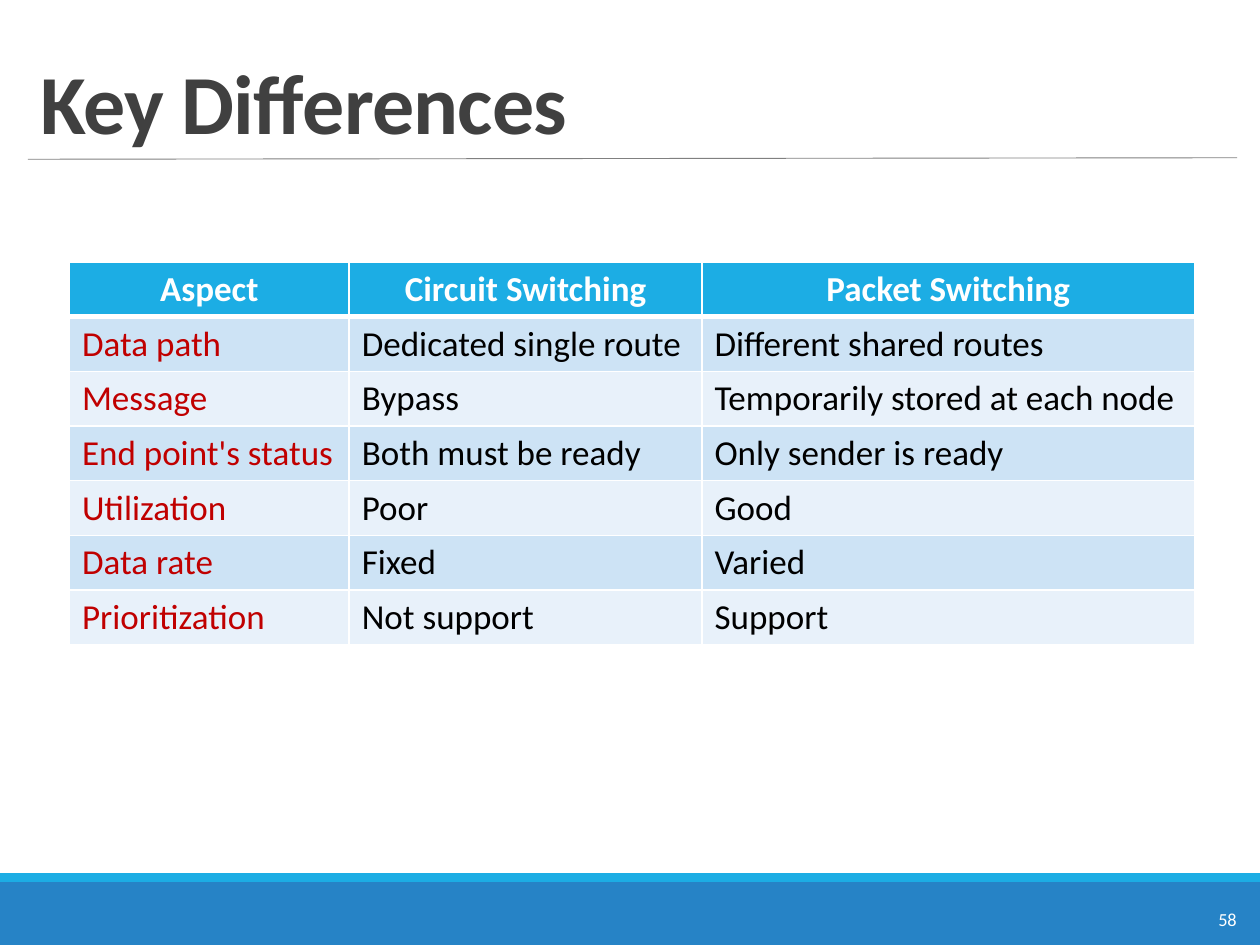
from dataclasses import dataclass

from pptx import Presentation
from pptx.dml.color import RGBColor
from pptx.enum import shapes, text
from pptx.oxml import parse_xml
from pptx.oxml.ns import nsdecls
from pptx.util import Cm, Pt


@dataclass(frozen=True)
class Theme:
    font: str = "Calibri"
    white: str = "FFFFFF"
    ink: str = "000000"
    heading: str = "404040"
    rule: str = "808080"
    label: str = "C00000"
    accent: str = "1CADE4"
    footer: str = "2683C6"
    bands: tuple = ("CDE3F5", "E8F1FA")
    title_size: float = 48
    table_size: float = 20
    number_size: float = 10.5


THEME = Theme()

COMPARISON = [
    ("Aspect", "Circuit Switching", "Packet Switching"),
    ("Data path", "Dedicated single route", "Different shared routes"),
    ("Message", "Bypass", "Temporarily stored at each node"),
    ("End point's status", "Both must be ready", "Only sender is ready"),
    ("Utilization", "Poor", "Good"),
    ("Data rate", "Fixed", "Varied"),
    ("Prioritization", "Not support", "Support"),
]
COLUMN_WIDTHS = (5.64, 7.11, 9.93)


def write(frame, words, size, color, bold=False):
    """Put words in the first paragraph of a frame and return that paragraph."""
    paragraph = frame.paragraphs[0]
    run = paragraph.add_run()
    run.text = words
    run.font.color.rgb = RGBColor.from_string(color)
    look = {"name": THEME.font, "size": Pt(size), "bold": bold}
    for attribute, value in look.items():
        setattr(run.font, attribute, value)
    return paragraph


def add_band(slide, left, top, width, height, color):
    band = slide.shapes.add_shape(
        shapes.MSO_SHAPE.RECTANGLE, Cm(left), Cm(top), Cm(width), Cm(height))
    band.shadow.inherit = False
    band.fill.solid()
    band.fill.fore_color.rgb = RGBColor.from_string(color)
    band.line.fill.background()


def add_footer(slide, left, top, width, height, number):
    stripe = 0.18
    add_band(slide, left, top + stripe, width, height - stripe, THEME.footer)
    add_band(slide, left, top, width, stripe, THEME.accent)
    page = slide.shapes.add_textbox(
        Cm(left + width - 1.09), Cm(top + 0.59), Cm(0.94), Cm(0.71))
    page.text_frame.word_wrap = False
    write(page.text_frame, number, THEME.number_size, THEME.white)


def add_title(slide, left, top, width, height, words):
    """Place the title with a thin, slightly rising rule under it."""
    bottom = top + height
    rule = slide.shapes.add_connector(
        shapes.MSO_CONNECTOR.STRAIGHT,
        Cm(left), Cm(bottom + 0.03), Cm(left + width), Cm(bottom))
    rule.line.color.rgb = RGBColor.from_string(THEME.rule)
    rule.line.width = Pt(0.5)
    rule._element.spPr.append(parse_xml(f"<a:effectLst {nsdecls('a')}/>"))

    title = slide.shapes.add_textbox(Cm(left), Cm(top), Cm(width), Cm(height))
    frame = title.text_frame
    frame.word_wrap = True
    frame.vertical_anchor = text.MSO_ANCHOR.BOTTOM
    paragraph = write(frame, words, THEME.title_size, THEME.heading, bold=True)
    paragraph.line_spacing = 0.85
    paragraph.runs[0].font._element.set("spc", "-50")


def add_borders(cell, bottom):
    """Draw white borders of 1 pt, with a bottom border of the given width."""
    widths = {"lnL": 1, "lnR": 1, "lnT": 1, "lnB": bottom}
    properties = cell._tc.get_or_add_tcPr()
    for side, width in widths.items():
        properties.append(parse_xml(
            f'<a:{side} {nsdecls("a")} w="{Pt(width)}"><a:solidFill>'
            f'<a:srgbClr val="{THEME.white}"/></a:solidFill></a:{side}>'))


def add_comparison(slide, left, top, row_height):
    table = slide.shapes.add_table(
        len(COMPARISON), len(COLUMN_WIDTHS), Cm(left), Cm(top),
        Cm(sum(COLUMN_WIDTHS)), Cm(row_height * len(COMPARISON))).table
    for column, width in zip(table.columns, COLUMN_WIDTHS):
        column.width = Cm(width)
    for row, entries in enumerate(COMPARISON):
        header = row == 0
        fill = THEME.accent if header else THEME.bands[(row - 1) % 2]
        for col, words in enumerate(entries):
            cell = table.cell(row, col)
            add_borders(cell, bottom=3 if header else 1)
            cell.fill.solid()
            cell.fill.fore_color.rgb = RGBColor.from_string(fill)
            body_color = THEME.label if col == 0 else THEME.ink
            paragraph = write(cell.text_frame, words, THEME.table_size,
                              THEME.white if header else body_color, header)
            if header:
                paragraph.alignment = text.PP_ALIGN.CENTER


def main():
    deck = Presentation()
    deck.slide_width, deck.slide_height = Cm(25.4), Cm(19.05)
    slide = deck.slides.add_slide(deck.slide_layouts[6])
    add_footer(slide, 0, 17.6, 25.4, 1.45, "58")
    add_title(slide, 0.56, 0.64, 24.38, 2.54, "Key Differences")
    add_comparison(slide, 1.4, 5.28, 1.1)
    deck.save("out.pptx")


if __name__ == "__main__":
    main()
